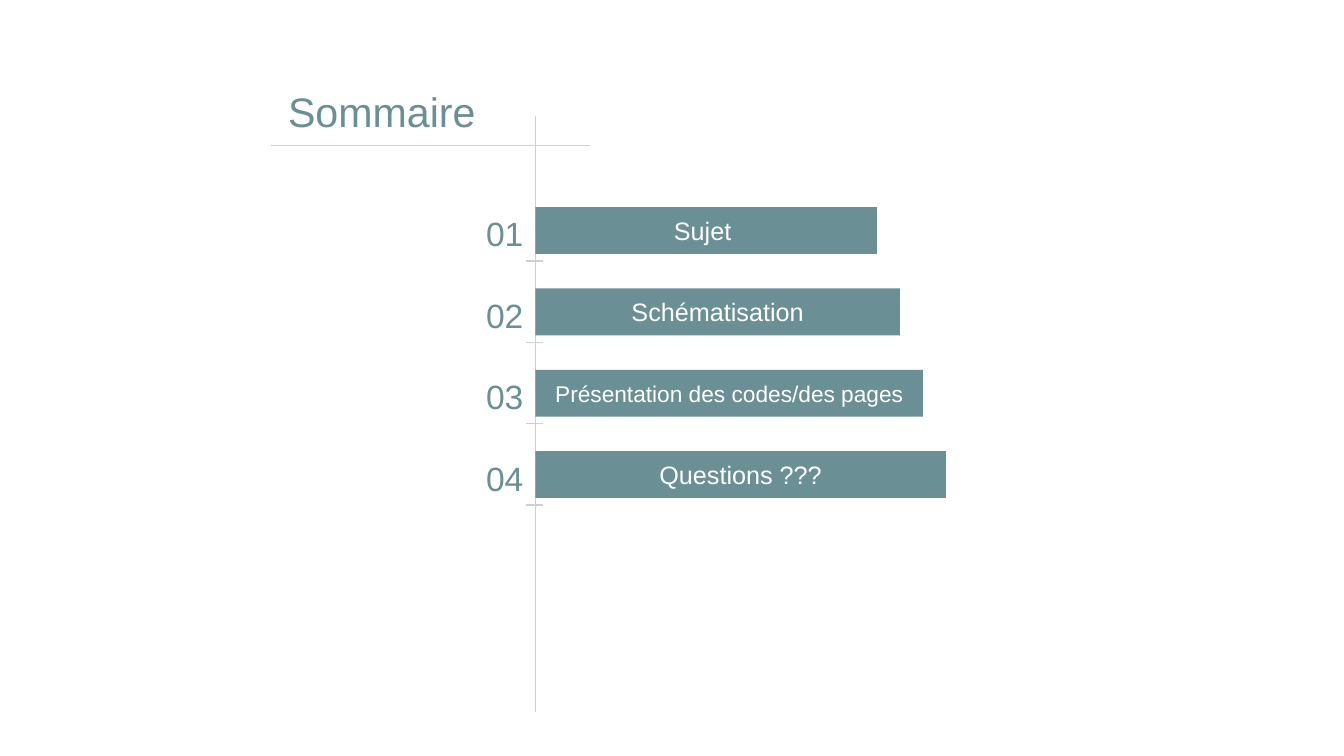
"""Build the "Sommaire" slide: a vertical axis with four numbered bars of growing length."""
import pptx
import pptx.dml.color
import pptx.enum.shapes
import pptx.enum.text
import pptx.oxml.ns
import pptx.util
import lxml.etree

Cm = pptx.util.Cm
ALIGN = pptx.enum.text.PP_ALIGN
ANCHOR = pptx.enum.text.MSO_ANCHOR

TITLE = "Sommaire"
ENTRIES = [
    ("01", "Sujet ", "bar"),
    ("02", "Schématisation", "bar"),
    ("03", "Présentation des codes/des pages", "long_bar"),
    ("04", "Questions ???", "bar"),
]

THEME = {
    "font": "Arial",
    "teal": pptx.dml.color.RGBColor.from_string("6A8F94"),
    "grey": pptx.dml.color.RGBColor.from_string("CFCFCF"),
    "white": pptx.dml.color.RGBColor.from_string("FFFFFF"),
    "line": 1,
    "sizes": {"title": 29.4, "number": 24, "bar": 18, "long_bar": 16.2},
}

AXIS_X = 13.49
TITLE_BOX = (7.01, 2.16, 6.48, 1.45)
RULES = [(6.83, 3.66, 14.86, 3.66), (AXIS_X, 2.92, AXIS_X, 17.93)]
FIRST_ROW, ROW_PITCH = 5.05, 2.05
NUMBER_LEFT, NUMBER_WIDTH, NUMBER_HEIGHT = 11.56, 1.88, 1.5
BAR_OFFSET, BAR_HEIGHT = 0.17, 1.18
BAR_WIDTH, BAR_GROWTH = 8.61, 0.58
TICK_OFFSET, TICK_LEFT, TICK_RIGHT = 1.53, 13.25, 13.69


def set_values(target, values):
    """Set each named attribute on the target."""
    for name, value in values.items():
        setattr(target, name, value)


def write(shape, text, size, color, anchor, paragraph_format):
    """Write one formatted paragraph into the shape."""
    frame = shape.text_frame
    set_values(frame, {"word_wrap": True, "vertical_anchor": anchor})
    paragraph = frame.paragraphs[0]
    set_values(paragraph, paragraph_format)
    run = paragraph.add_run()
    run.text = text
    font = {"name": THEME["font"], "size": pptx.util.Pt(THEME["sizes"][size])}
    set_values(run.font, font)
    run.font.color.rgb = THEME[color]


def add_line(shapes, ends):
    """Add a thin grey line without a shadow."""
    line = shapes.add_connector(
        pptx.enum.shapes.MSO_CONNECTOR.STRAIGHT, *map(Cm, ends))
    line.line.color.rgb = THEME["grey"]
    line.line.width = pptx.util.Pt(THEME["line"])
    properties = line._element.spPr
    lxml.etree.SubElement(properties, pptx.oxml.ns.qn("a:effectLst"))


def add_entry(slide, index, number, label, size):
    """Add one group holding a tick, a number and a bar."""
    shapes = slide.shapes.add_group_shape().shapes
    top = FIRST_ROW + index * ROW_PITCH
    tick = top + TICK_OFFSET
    add_line(shapes, (TICK_LEFT, tick, TICK_RIGHT, tick))

    number_box = (NUMBER_LEFT, top, NUMBER_WIDTH, NUMBER_HEIGHT)
    write(shapes.add_textbox(*map(Cm, number_box)), number, "number", "teal",
          ANCHOR.TOP, {"alignment": ALIGN.RIGHT, "line_spacing": 1.2})

    bar_box = (AXIS_X, top + BAR_OFFSET, BAR_WIDTH + index * BAR_GROWTH, BAR_HEIGHT)
    bar = shapes.add_shape(
        pptx.enum.shapes.MSO_SHAPE.RECTANGLE, *map(Cm, bar_box))
    bar.shadow.inherit = False
    bar.fill.solid()
    bar.fill.fore_color.rgb = THEME["teal"]
    bar.line.fill.background()
    write(bar, label, size, "white", ANCHOR.MIDDLE, {"alignment": ALIGN.CENTER})


def main():
    """Lay out the slide and save it."""
    presentation = pptx.Presentation()
    set_values(presentation, {"slide_width": Cm(33.87), "slide_height": Cm(19.05)})
    slide = presentation.slides.add_slide(presentation.slide_layouts[6])
    write(slide.shapes.add_textbox(*map(Cm, TITLE_BOX)), TITLE, "title", "teal",
          ANCHOR.MIDDLE, {"line_spacing": 0.9})
    for ends in RULES:
        add_line(slide.shapes, ends)
    for index, entry in enumerate(ENTRIES):
        add_entry(slide, index, *entry)
    presentation.save("out.pptx")


if __name__ == "__main__":
    main()
